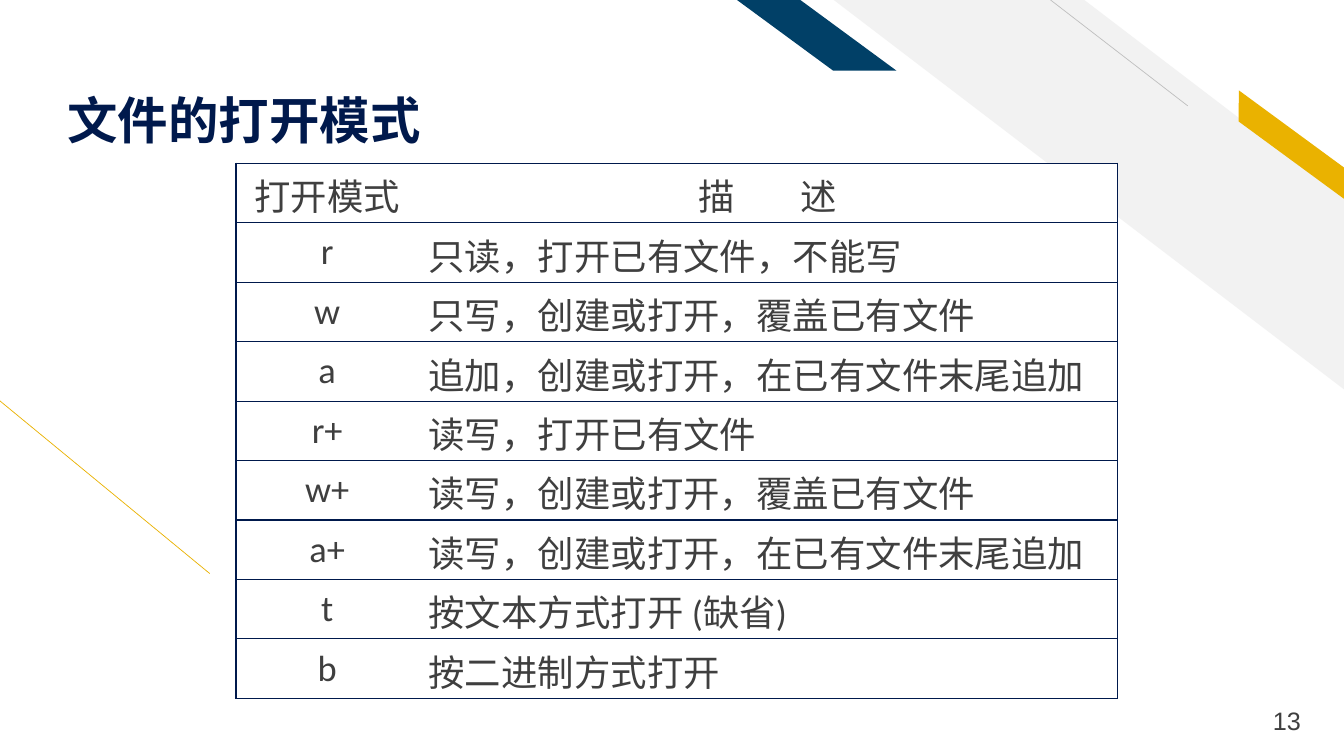
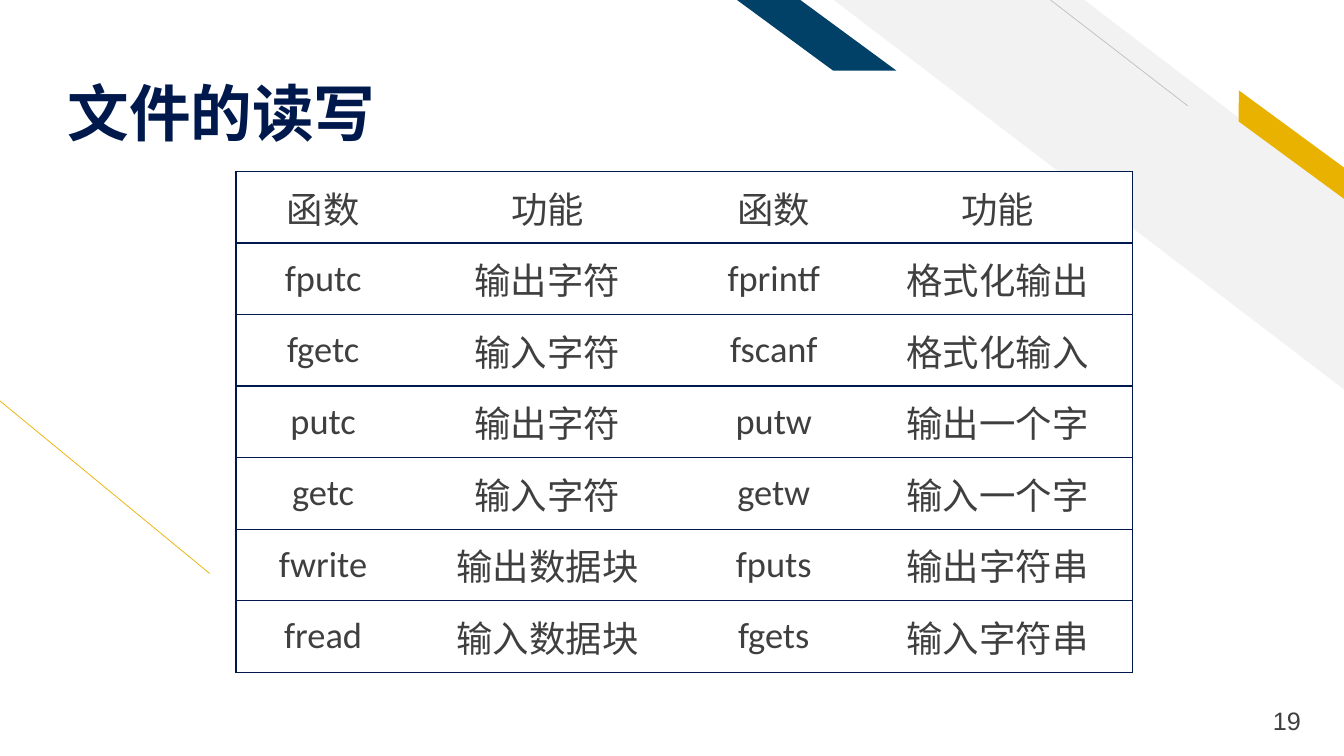
from dataclasses import dataclass

from lxml.etree import SubElement
from pptx import Presentation
from pptx.dml.color import RGBColor as RGB
from pptx.enum.shapes import MSO_CONNECTOR as Connector, MSO_SHAPE as Shape
from pptx.enum.text import MSO_ANCHOR as Anchor, MSO_AUTO_SIZE as AutoSize, PP_ALIGN as Align
from pptx.oxml.ns import qn
from pptx.util import Inches, Pt


@dataclass(frozen=True)
class Theme:
    navy: str = "00194C"
    blue: str = "014067"
    gold: str = "EAB200"
    pale: str = "F2F2F2"
    grey: str = "BFBFBF"
    ink: str = "3F3F3F"
    white: str = "FFFFFF"
    cjk_font: str = "Noto Sans CJK SC"
    table_font: str = "Calibri"
    number_font: str = "Arial"
    table_size: int = 26
    number_size: int = 18
    hairline: float = 0.5
    rule: float = 1


THEME = Theme()

MODES = [
    ("打开模式", "描 述"),
    ("r", "只读，打开已有文件，不能写"),
    ("w", "只写，创建或打开，覆盖已有文件"),
    ("a", "追加，创建或打开，在已有文件末尾追加"),
    ("r+", "读写，打开已有文件"),
    ("w+", "读写，创建或打开，覆盖已有文件"),
    ("a+", "读写，创建或打开，在已有文件末尾追加"),
    ("t", "按文本方式打开 (缺省)"),
    ("b", "按二进制方式打开"),
]

FUNCTIONS = [
    ("函数", "功能", "函数", "功能"),
    ("fputc", "输出字符", "fprintf", "格式化输出"),
    ("fgetc", "输入字符", "fscanf", "格式化输入"),
    ("putc", "输出字符", "putw", "输出一个字"),
    ("getc", "输入字符", "getw", "输入一个字"),
    ("fwrite", "输出数据块", "fputs", "输出字符串"),
    ("fread", "输入数据块", "fgets", "输入字符串"),
]


def style_run(run, size, font, color, bold=False):
    run.font.size = Pt(size)
    run.font.name = font
    run.font.bold = bold
    run.font.color.rgb = RGB.from_string(color)
    SubElement(run.font._element, qn("a:ea"), typeface=THEME.cjk_font)


def add_stripe(slide, kind, box, color, slant, rotation=0):
    stripe = slide.shapes.add_shape(kind, *map(Inches, box))
    stripe.adjustments[0] = slant
    stripe.rotation = rotation
    stripe._element.spPr.xfrm.set("flipH", "1")
    stripe.shadow.inherit = False
    stripe.fill.solid()
    stripe.fill.fore_color.rgb = RGB.from_string(color)
    stripe.line.fill.background()


def add_hairline(slide, ends, color):
    hairline = slide.shapes.add_connector(Connector.STRAIGHT, *map(Inches, ends))
    hairline.line.color.rgb = RGB.from_string(color)
    hairline.line.width = Pt(THEME.hairline)
    SubElement(hairline._element.spPr, qn("a:effectLst"))


def add_decoration(slide):
    add_hairline(slide, (2.08, 5.69, -0.01, 3.97), THEME.gold)
    add_stripe(slide, Shape.DIAGONAL_STRIPE, (8.27, 0, 5.07, 3.87), THEME.pale, 0.51)
    add_hairline(slide, (11.78, 1.05, 10.42, 0), THEME.grey)
    add_stripe(slide, Shape.PARALLELOGRAM, (12.07, 1.31, 1.48, 0.25), THEME.gold, 0.72, 36.3)
    add_stripe(slide, Shape.PARALLELOGRAM, (7.31, 0, 1.58, 0.7), THEME.blue, 1.36)


def add_page_number(slide, number):
    page = slide.shapes.add_textbox(Inches(12.19), Inches(6.95), Inches(0.81), Inches(0.4))
    frame = page.text_frame
    frame.word_wrap = True
    frame.vertical_anchor = Anchor.MIDDLE
    frame.text = str(number)
    frame.paragraphs[0].alignment = Align.RIGHT
    style_run(frame.paragraphs[0].runs[0], THEME.number_size, THEME.number_font, THEME.ink)


def set_title(slide, text, size):
    title = slide.shapes.title
    title.left, title.top, title.width, title.height = map(Inches, (0.57, 0.23, 9.11, 1.26))
    frame = title.text_frame
    frame.text = text
    frame.auto_size = AutoSize.NONE
    frame.word_wrap = True
    frame.vertical_anchor = Anchor.BOTTOM
    frame.margin_bottom = 0
    heading = frame.paragraphs[0]
    heading.alignment = Align.LEFT
    heading.line_spacing = 0.9
    style_run(heading.runs[0], size, THEME.cjk_font, THEME.navy, bold=True)


def add_content_slide(deck, title, title_size, number):
    slide = deck.slides.add_slide(deck.slide_layouts[5])
    add_decoration(slide)
    add_page_number(slide, number)
    set_title(slide, title, title_size)
    return slide


def set_borders(cell, visible_sides):
    properties = cell._tc.get_or_add_tcPr()
    for side in "LRTB":
        border = SubElement(properties, qn(f"a:ln{side}"), w=str(Pt(THEME.rule)))
        if side in visible_sides:
            paint = SubElement(border, qn("a:solidFill"))
            SubElement(paint, qn("a:srgbClr"), val=THEME.navy)
        else:
            SubElement(border, qn("a:noFill"))


def fill_cell(cell, text, alignment):
    cell.fill.solid()
    cell.fill.fore_color.rgb = RGB.from_string(THEME.white)
    cell.vertical_anchor = Anchor.MIDDLE
    cell.text_frame.text = text
    paragraph = cell.text_frame.paragraphs[0]
    paragraph.alignment = alignment
    style_run(paragraph.runs[0], THEME.table_size, THEME.table_font, THEME.ink)


def spread_heading(cell, gap):
    paragraph = cell.text_frame.paragraphs[0]
    opening = paragraph.runs[0]
    ending = paragraph.add_run()
    opening.text, ending.text = opening.text[:-1], opening.text[-1]
    style_run(ending, THEME.table_size, THEME.table_font, THEME.ink)
    opening.font._element.set("spc", str(int(gap * 100)))


def add_ruled_table(slide, rows, top, widths, row_height, left_columns=()):
    last = len(widths) - 1
    table = slide.shapes.add_table(
        len(rows), len(widths), Inches(2.34), Inches(top),
        Inches(sum(widths)), Inches(row_height * len(rows)),
    ).table
    table.first_row = table.horz_banding = False
    for column, width in zip(table.columns, widths):
        column.width = Inches(width)
    for r, texts in enumerate(rows):
        table.rows[r].height = Inches(row_height)
        for c, text in enumerate(texts):
            cell = table.cell(r, c)
            set_borders(cell, "TB" + "L" * (c == 0) + "R" * (c == last))
            fill_cell(cell, text, Align.LEFT if r and c in left_columns else Align.CENTER)
    return table


def main():
    deck = Presentation()
    deck.slide_width, deck.slide_height = Inches(13.33), Inches(7.5)

    modes_slide = add_content_slide(deck, "文件的打开模式", 36, 13)
    modes = add_ruled_table(modes_slide, MODES, 1.62, (1.81, 6.93), 0.59, left_columns=(1,))
    spread_heading(modes.cell(0, 1), 20.5)

    functions_slide = add_content_slide(deck, "文件的读写", 44, 19)
    add_ruled_table(functions_slide, FUNCTIONS, 1.7, (1.73, 2.72, 1.77, 2.67), 0.71)

    deck.save("out.pptx")


if __name__ == "__main__":
    main()
